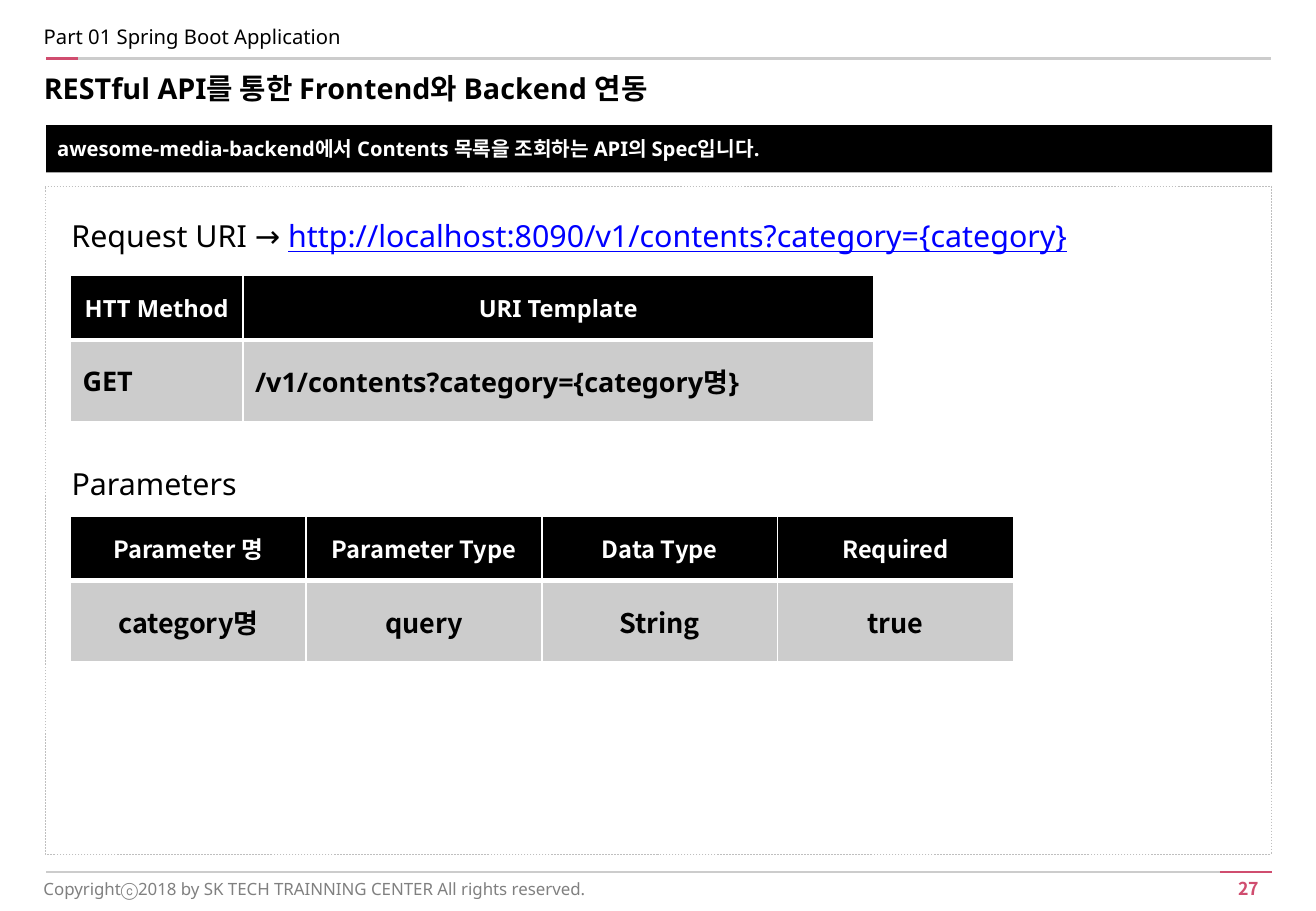
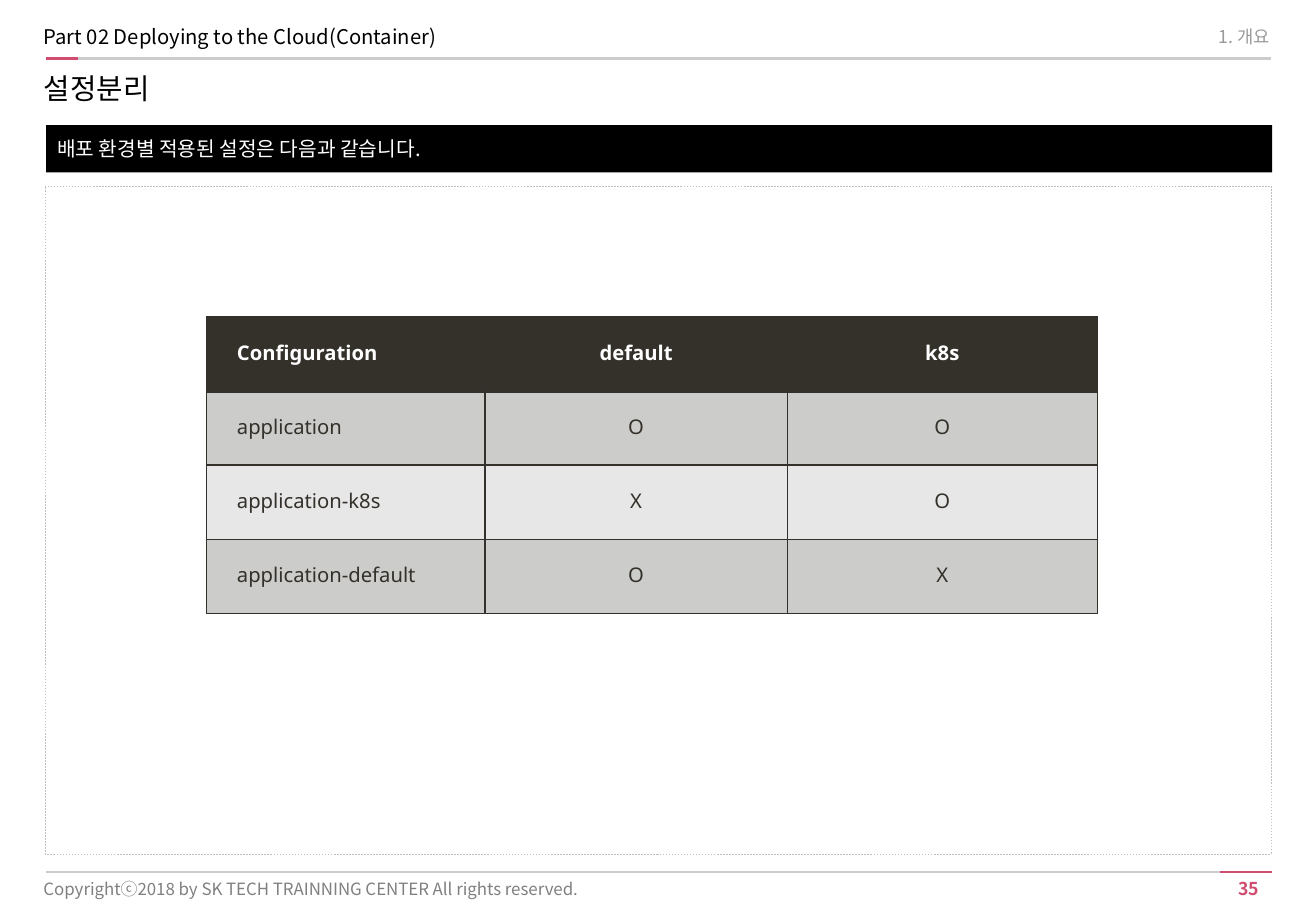
"""Build two training slides on an API spec and on configuration per environment."""
import pptx
import pptx.dml.color
import pptx.enum.dml
import pptx.enum.shapes
import pptx.enum.text
import pptx.oxml
import pptx.oxml.ns
import pptx.util
from lxml import etree

Inches = pptx.util.Inches
Pt = pptx.util.Pt
qn = pptx.oxml.ns.qn
MIDDLE = pptx.enum.text.MSO_ANCHOR.MIDDLE
TOP = pptx.enum.text.MSO_ANCHOR.TOP
ALIGNMENTS = {
    "l": pptx.enum.text.PP_ALIGN.LEFT,
    "c": pptx.enum.text.PP_ALIGN.CENTER,
    "r": pptx.enum.text.PP_ALIGN.RIGHT,
}
SANS = "Noto Sans"
SANS_JP = "Noto Sans CJK JP"
SANS_KR = "Noto Sans CJK KR"
BLACK, WHITE, GRAY, ACCENT = "000000", "FFFFFF", "CCCCCC", "D04D6F"
BROWN = "34302B"


def rgb(value):
    return pptx.dml.color.RGBColor.from_string(value)


def write(frame, text, font=SANS, size=12, color=BLACK, bold=False, underline=False,
          align="l", anchor=TOP, margins=(0.1, 0.05, 0.1, 0.05), wrap=True, spacing=None):
    frame.word_wrap = wrap
    frame.vertical_anchor = anchor
    frame.margin_left, frame.margin_top, frame.margin_right, frame.margin_bottom = map(Inches, margins)
    paragraph = frame.paragraphs[0]
    paragraph.alignment = ALIGNMENTS[align]
    paragraph.line_spacing = spacing
    run = paragraph.add_run()
    run.text = text
    run.font.name = font
    run.font.size = Pt(size)
    run.font.bold = bold
    run.font.underline = underline
    run.font.color.rgb = rgb(color)
    east_asian = etree.SubElement(run.font._element, qn("a:ea"))
    east_asian.set("typeface", SANS_KR if font == SANS else font)


rules = [
    (0.38, 10.46, 0.48, GRAY),
    (0.38, 0.64, 0.48, ACCENT),
    (0.38, 10.46, 7.18, GRAY),
    (10.04, 10.47, 7.18, ACCENT),
]

spec_style = dict(head_fill=BLACK, body_fills=[GRAY], border=WHITE, body_color=BLACK,
                  head_size=14, body_size=16, body_bold=True, inset=0.1, spacing=None,
                  heights=[0.53, 0.67])
pages = [
    dict(
        number="27", font=SANS, bold=True,
        part="Part 01 Spring Boot Application", section=None,
        title="RESTful API를 통한 Frontend와 Backend 연동",
        message="awesome-media-backend에서 Contents 목록을 조회하는 API의 Spec입니다.",
        headings=[
            (1.74, 8.57, [("Request URI → ", BLACK, False),
                          ("http://localhost:8090/v1/contents?category={category}", "0000FF", True)]),
            (3.78, 1.58, [("Parameters", BLACK, False)]),
        ],
        tables=[
            dict(spec_style, left=0.58, top=2.27, widths=[1.42, 5.19], font=SANS,
                 aligns=["cc", "ll"],
                 rows=[["HTT Method", "URI Template"],
                       ["GET", "/v1/contents?category={category명}"]]),
            dict(spec_style, left=0.58, top=4.25, widths=[1.94] * 4, font=SANS_KR,
                 aligns=["cccc", "cccc"],
                 rows=[["Parameter 명", "Parameter Type", "Data Type", "Required"],
                       ["category명", "query", "String", "true"]]),
        ],
    ),
    dict(
        number="35", font=SANS_JP, bold=False,
        part="Part 02 Deploying to the Cloud(Container)", section="1. 개요",
        title="설정분리",
        message="배포 환경별 적용된 설정은 다음과 같습니다.",
        headings=[],
        tables=[
            dict(left=1.7, top=2.61, widths=[2.29, 2.49, 2.55], heights=[0.61] * 4, font=SANS,
                 aligns=["lcc"] * 4, head_fill="34302A", body_fills=["CCCCCB", "E7E7E7"],
                 border=BROWN, body_color="34302A", head_size=12, body_size=12,
                 body_bold=False, inset=0.25, spacing=0.8,
                 rows=[["Configuration", "default", "k8s"],
                       ["application", "O", "O"],
                       ["application-k8s", "X", "O"],
                       ["application-default", "O", "X"]]),
        ],
    ),
]

deck = pptx.Presentation()
deck.slide_width, deck.slide_height = Inches(10.83), Inches(7.5)

for page in pages:
    slide = deck.slides.add_slide(deck.slide_layouts[5])
    shapes = slide.shapes

    title = shapes.title
    title.left, title.top, title.width, title.height = map(Inches, (0.27, 0.53, 10.19, 0.43))
    title.text_frame.auto_size = pptx.enum.text.MSO_AUTO_SIZE.NONE
    write(title.text_frame, page["title"], font=page["font"], size=17, bold=page["bold"],
          margins=(0.09, 0.05, 0, 0.05))

    content_area = shapes.add_shape(pptx.enum.shapes.MSO_SHAPE.RECTANGLE,
                                    *map(Inches, (0.37, 1.53, 10.09, 5.5)))
    content_area.shadow.inherit = False
    content_area.fill.background()
    content_area.line.color.rgb = rgb("BFBFBF")
    content_area.line.width = Pt(0.25)
    content_area.line.dash_style = pptx.enum.dml.MSO_LINE.DASH

    for start, end, y, color in rules:
        rule = shapes.add_connector(pptx.enum.shapes.MSO_CONNECTOR.STRAIGHT,
                                    *map(Inches, (start, y, end, y)))
        rule.line.color.rgb = rgb(color)
        rule.line.width = Pt(1.5)
        etree.SubElement(rule._element.spPr, qn("a:effectLst"))

    message_band = shapes.add_shape(pptx.enum.shapes.MSO_SHAPE.RECTANGLE,
                                    *map(Inches, (0.38, 1.03, 10.09, 0.39)))
    message_band.shadow.inherit = False
    message_band.fill.solid()
    message_band.fill.fore_color.rgb = rgb(BLACK)
    message_band.line.fill.background()
    write(message_band.text_frame, page["message"], font=page["font"], color=WHITE,
          bold=page["bold"], anchor=MIDDLE, margins=(0.09, 0, 0, 0))

    labels = [
        (page["part"], (0.27, 0.2, 5.97, 0.31),
         dict(font=page["font"], margins=(0.09, 0, 0, 0))),
        (page["section"], (6.28, 0.21, 4.17, 0.31),
         dict(font=page["font"], size=10.5, color="999999", align="r", margins=(0.09, 0, 0, 0))),
        ("Copyrightⓒ2018 by SK TECH TRAINNING CENTER All rights reserved.", (0.26, 7.15, 5.7, 0.34),
         dict(font=page["font"], size=10, color="808080", anchor=MIDDLE)),
        (page["number"], (9.79, 7.18, 0.57, 0.28),
         dict(font=SANS_JP, size=10.5, color=ACCENT, bold=True, align="r",
              margins=(0.1, 0.05, 0, 0.05))),
    ]
    for text, place, style in labels:
        if text:
            label = shapes.add_textbox(*map(Inches, place))
            write(label.text_frame, text, **style)

    for top, width, phrases in page["headings"]:
        heading = shapes.add_textbox(*map(Inches, (0.49, top, width, 0.4)))
        for text, color, underline in phrases:
            write(heading.text_frame, text, size=18, color=color, underline=underline, wrap=False)

    for plan in page["tables"]:
        widths, heights = plan["widths"], plan["heights"]
        grid = shapes.add_table(len(heights), len(widths), Inches(plan["left"]), Inches(plan["top"]),
                                Inches(sum(widths)), Inches(sum(heights))).table
        grid.first_row = grid.horz_banding = False
        for column, width in zip(grid.columns, widths):
            column.width = Inches(width)
        for row, height in zip(grid.rows, heights):
            row.height = Inches(height)

        for r, texts in enumerate(plan["rows"]):
            is_head = r == 0
            fills = plan["body_fills"]
            for c, text in enumerate(texts):
                cell = grid.cell(r, c)
                align = plan["aligns"][r][c]
                write(cell.text_frame, text, font=plan["font"],
                      size=plan["head_size"] if is_head else plan["body_size"],
                      color=WHITE if is_head else plan["body_color"],
                      bold=is_head or plan["body_bold"], align=align, spacing=plan["spacing"])
                cell.vertical_anchor = MIDDLE
                cell.margin_left = Inches(plan["inset"] if align == "l" else 0)
                cell.margin_right = cell.margin_top = cell.margin_bottom = 0

                properties = cell._tc.get_or_add_tcPr()
                for side in ("lnL", "lnR", "lnT", "lnB"):
                    under_head = (r, side) in ((0, "lnB"), (1, "lnT"))
                    edge = etree.SubElement(properties, qn("a:" + side), w=str(Pt(3 if under_head else 1)))
                    paint = etree.SubElement(edge, qn("a:solidFill"))
                    etree.SubElement(paint, qn("a:srgbClr"), val=plan["border"])
                cell.fill.solid()
                cell.fill.fore_color.rgb = rgb(plan["head_fill"] if is_head else fills[(r - 1) % len(fills)])

deck.save("out.pptx")
